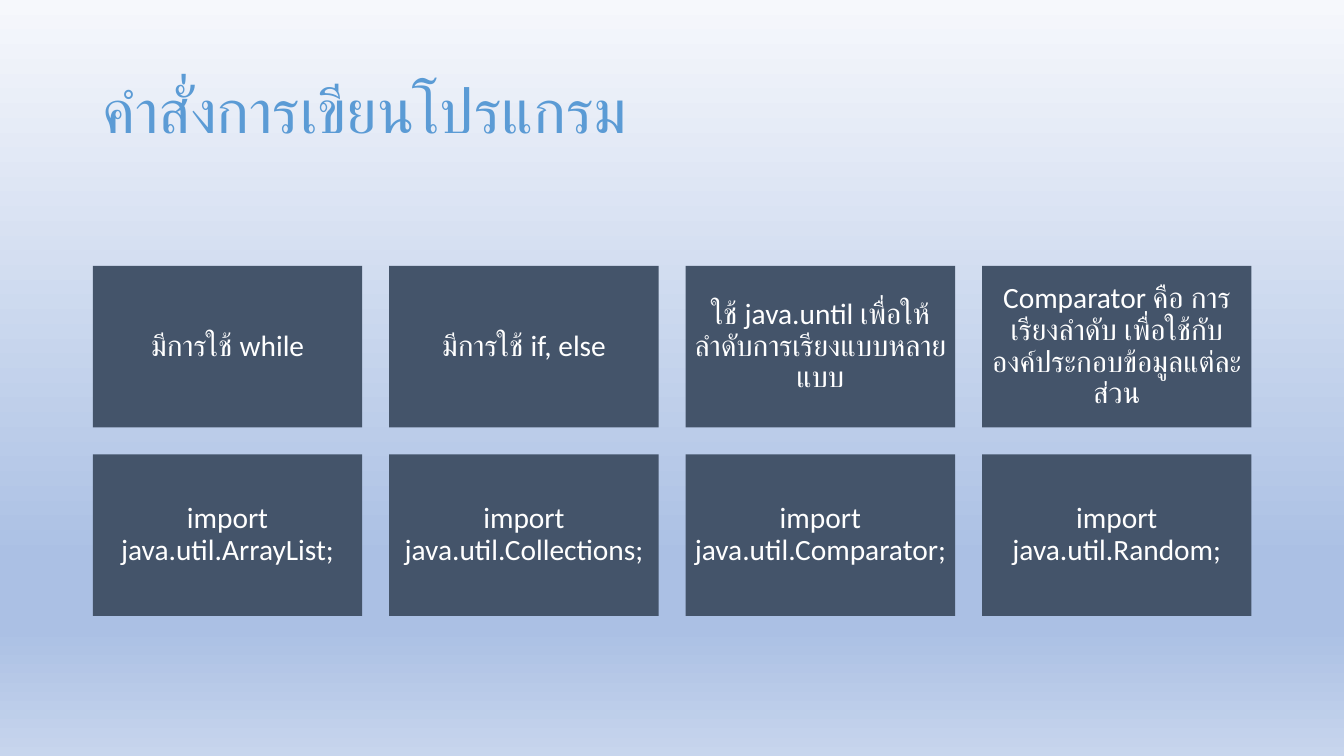
from dataclasses import dataclass
from lxml.etree import SubElement as Sub
from pptx import Presentation
from pptx.dml.color import RGBColor as RGB
from pptx.enum.shapes import MSO_SHAPE as Shape
from pptx.enum.text import MSO_ANCHOR as Anchor, MSO_AUTO_SIZE as Auto, PP_ALIGN as Align
from pptx.oxml.ns import qn
from pptx.util import Cm, Pt


@dataclass(frozen=True)
class Theme:
    font: str = "Calibri"
    head: int = 44
    body: int = 21
    box: str = "44546A"
    ink: str = "FFFFFF"
    sky: tuple = ((0, "F6F8FC"), (74, "ABC0E4"), (83, "ABC0E4"), (100, "C7D5ED"))
    blue: tuple = ((0, "1F4E79"), (50, "5B9BD5"), (100, "9DC3E6"))


class Deck:
    """Holds the theme and the current slide."""

    def __init__(self, theme):
        self.theme = theme
        self.prs = Presentation()
        self.prs.slide_width, self.prs.slide_height = Cm(33.87), Cm(19.05)
        self.slide = self.prs.slides.add_slide(self.prs.slide_layouts[5])

    def blend(self, fill, root, stops):
        """Give the fill a top-to-bottom gradient; root is the XML around it."""
        fill.gradient()
        fill.gradient_angle = 270
        ramp = next(root.iter(qn("a:gsLst")))
        ramp.clear()
        for pos, tint in stops:
            stop = Sub(ramp, qn("a:gs"), pos=str(pos * 1000))
            Sub(stop, qn("a:srgbClr"), val=tint)

    def back(self):
        self.blend(self.slide.background.fill, self.slide.element, self.theme.sky)

    def label(self, shape, text, size, align):
        """Fill the shape with one paragraph and return its font."""
        frame = shape.text_frame
        frame.word_wrap = True
        frame.auto_size = Auto.NONE
        frame.vertical_anchor = Anchor.MIDDLE
        para = frame.paragraphs[0]
        para.alignment = align
        para.line_spacing = 0.9
        run = para.add_run()
        run.text = text
        run.font.name, run.font.size = self.theme.font, Pt(size)
        return run.font

    def title(self, text):
        head = self.slide.shapes.title
        head.left, head.top = Cm(2.33), Cm(1.01)
        head.width, head.height = Cm(29.21), Cm(3.68)
        font = self.label(head, text, self.theme.head, Align.LEFT)
        self.blend(font.fill, head.element, self.theme.blue)

    def card(self, text, left, top, width, height):
        box = self.slide.shapes.add_shape(
            Shape.RECTANGLE, Cm(left), Cm(top), Cm(width), Cm(height))
        box.shadow.inherit = False
        box.fill.solid()
        box.fill.fore_color.rgb = RGB.from_string(self.theme.box)
        box.line.fill.background()
        frame = box.text_frame
        frame.margin_left = frame.margin_right = Cm(0.22)
        frame.margin_top = frame.margin_bottom = Cm(0.22)
        font = self.label(box, text, self.theme.body, Align.CENTER)
        font.color.rgb = RGB.from_string(self.theme.ink)

    def grid(self, rows, left, top, width, height, gap):
        for i, row in enumerate(rows):
            for j, text in enumerate(row):
                self.card(text, left + j * (width + gap),
                          top + i * (height + gap), width, height)


CARDS = (
    ("มีการใช้ while",
     "มีการใช้ if, else",
     "ใช้ java.until เพื่อให้ลำดับการเรียงแบบหลายแบบ",
     "Comparator คือ การเรียงลำดับ เพื่อใช้กับองค์ประกอบข้อมูลแต่ละส่วน"),
    [f"import java.util.{name};"
     for name in ("ArrayList", "Collections", "Comparator", "Random")],
)


def main():
    deck = Deck(Theme())
    deck.back()
    deck.title("คำสั่งการเขียนโปรแกรม")
    deck.grid(CARDS, left=2.34, top=6.7, width=6.79, height=4.07, gap=0.68)
    deck.prs.save("out.pptx")


if __name__ == "__main__":
    main()
